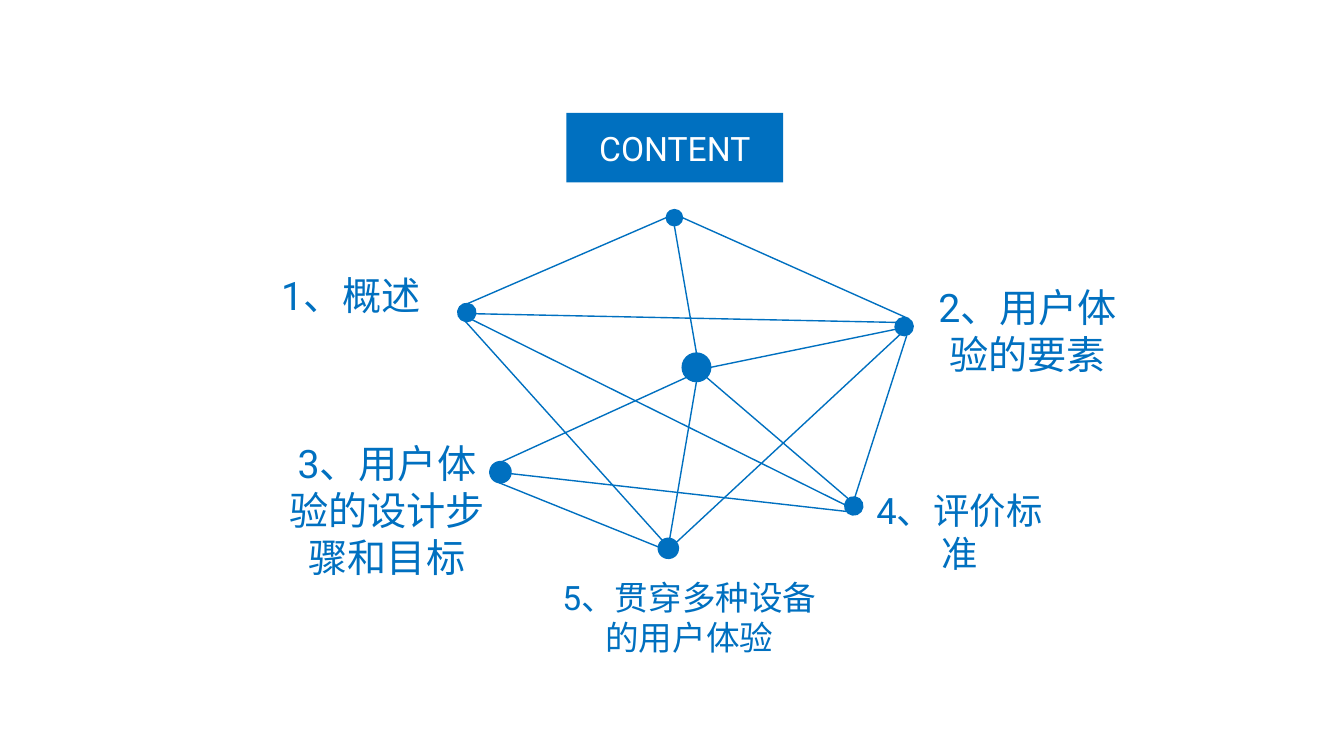
import math
from dataclasses import dataclass

import pptx
import pptx.dml.color
import pptx.enum.shapes
import pptx.enum.text
import pptx.oxml.ns
import pptx.util
from lxml import etree

Pt = pptx.util.Pt
RGB = pptx.dml.color.RGBColor


@dataclass(frozen=True)
class Theme:
    blue: RGB = RGB(0x00, 0x70, 0xC0)
    white: RGB = RGB(0xFF, 0xFF, 0xFF)
    font: str = "Roboto"
    large: int = 28
    mid: int = 26
    small: int = 24
    line: float = 1


THEME = Theme()

# name: centre x, centre y, diameter, rotation in degrees
NODES = {
    "top": (481.7, 155.5, 11.6, 0),
    "hub": (497.5, 262.4, 20.4, 0),
    "one": (333.4, 223.2, 13, 8.1),
    "two": (645.8, 233.3, 13, 27.4),
    "three": (357.5, 337.3, 15.2, 8.1),
    "four": (609.8, 361.4, 13, 8.1),
    "five": (477.4, 391.7, 14.4, 8.1),
}

# start node and site, end node and site
LINKS = [
    ("top", 2, "one", 0),
    ("top", 6, "two", 0),
    ("top", 4, "hub", 0),
    ("one", 4, "five", 1),
    ("four", 2, "one", 5),
    ("two", 2, "one", 6),
    ("five", 7, "two", 4),
    ("hub", 4, "five", 0),
    ("hub", 5, "four", 1),
    ("two", 3, "hub", 6),
    ("two", 5, "four", 0),
    ("hub", 3, "three", 0),
    ("three", 4, "five", 2),
    ("four", 3, "three", 6),
]

# text, left, top, width, height, size
LABELS = [
    ("1、概述", 166.3, 190.1, 168.5, 41, THEME.large),
    ("2、用户体验的要素", 654.5, 198.7, 159.1, 74.9, THEME.large),
    ("3、用户体验的设计步骤和目标", 192.2, 310.3, 168.5, 108.7, THEME.large),
    ("4、评价标准", 613.4, 344.9, 144, 69.8, THEME.mid),
    ("5、贯穿多种设备的用户体验", 390.2, 408.2, 204.5, 65.5, THEME.small),
]


def write(frame, text, size, color=THEME.blue, anchor="TOP", fit="NONE"):
    frame.word_wrap = True
    frame.auto_size = getattr(pptx.enum.text.MSO_AUTO_SIZE, fit)
    frame.vertical_anchor = getattr(pptx.enum.text.MSO_ANCHOR, anchor)
    para = frame.paragraphs[0]
    para.alignment = pptx.enum.text.PP_ALIGN.CENTER
    run = para.add_run()
    run.text = text
    run.font.name = THEME.font
    run.font.size = Pt(size)
    run.font.color.rgb = color


def paint(shape):
    shape.fill.solid()
    shape.fill.fore_color.rgb = THEME.blue


def stroke(line):
    line.color.rgb = THEME.blue
    line.width = Pt(THEME.line)


def site(name, step):
    """Point on a node's rim, in eighths of a turn anticlockwise from its top."""
    x, y, size, turn = NODES[name]
    angle = math.radians(45 * step - turn)
    return Pt(x - size / 2 * math.sin(angle)), Pt(y - size / 2 * math.cos(angle))


def link(slide, start, out, end, into):
    kind = pptx.enum.shapes.MSO_CONNECTOR.STRAIGHT
    line = slide.shapes.add_connector(kind, *site(start, out), *site(end, into))
    stroke(line.line)
    etree.SubElement(line._element.spPr, pptx.oxml.ns.qn("a:effectLst"))


def dot(slide, x, y, size, turn):
    kind = pptx.enum.shapes.MSO_SHAPE.OVAL
    shape = slide.shapes.add_shape(
        kind, Pt(x - size / 2), Pt(y - size / 2), Pt(size), Pt(size))
    shape.rotation = turn
    shape.shadow.inherit = False
    paint(shape)
    stroke(shape.line)


def label(slide, text, left, top, width, height, size):
    box = slide.shapes.add_textbox(Pt(left), Pt(top), Pt(width), Pt(height))
    write(box.text_frame, text, size, fit="SHAPE_TO_FIT_TEXT")


def head(slide, text):
    title = slide.shapes.title
    title.left, title.top = Pt(404.6), Pt(80.6)
    title.width, title.height = Pt(154.8), Pt(49.7)
    paint(title)
    write(title.text_frame, text, THEME.small, color=THEME.white, anchor="MIDDLE")


def main():
    deck = pptx.Presentation()
    deck.slide_width, deck.slide_height = Pt(960), Pt(540)
    slide = deck.slides.add_slide(deck.slide_layouts.get_by_name("Title Only"))
    head(slide, "CONTENT")
    for ends in LINKS:
        link(slide, *ends)
    for node in NODES.values():
        dot(slide, *node)
    for item in LABELS:
        label(slide, *item)
    deck.save("out.pptx")


if __name__ == "__main__":
    main()
